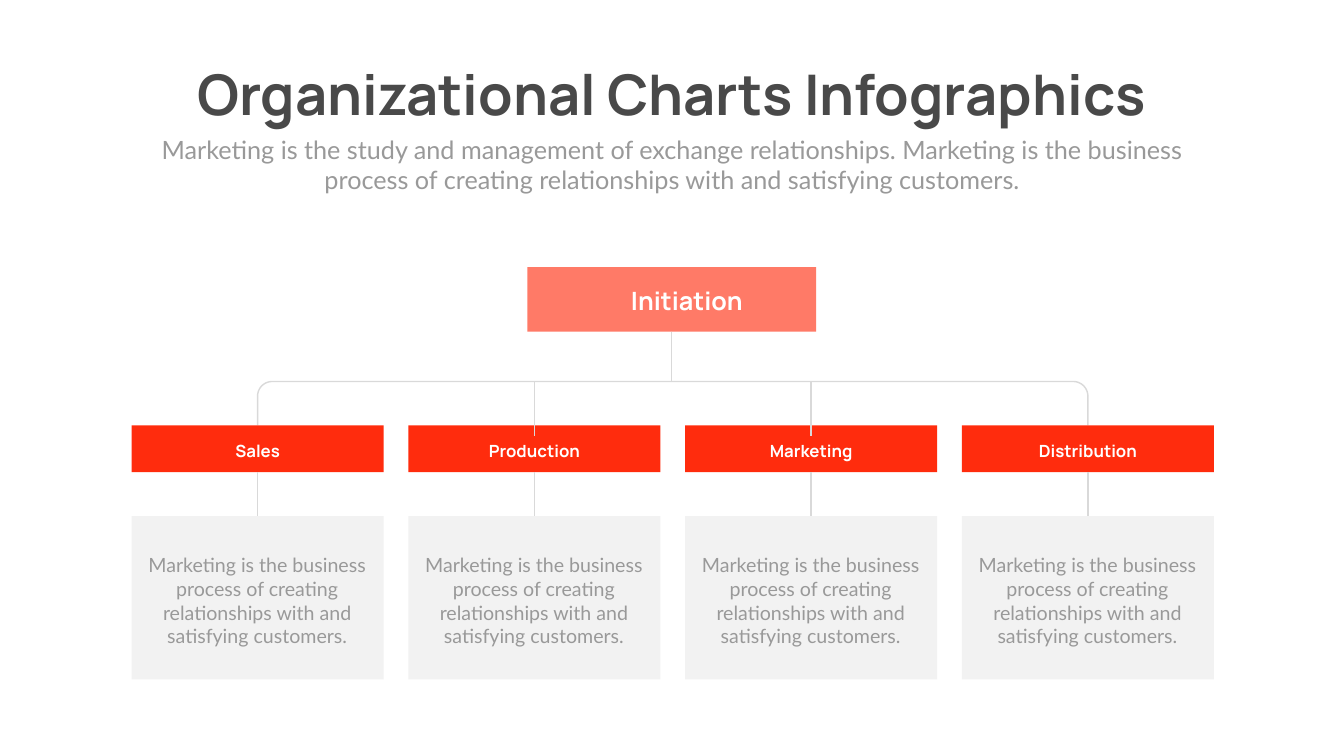
import math

import pptx
import pptx.dml.color
import pptx.enum.shapes
import pptx.enum.text
import pptx.oxml
import pptx.oxml.ns
import pptx.util

Inches = pptx.util.Inches

HEADING_FONT = "Manrope"
BODY_FONT = "Lato"
WHITE = "FFFFFF"
GRAY = "999999"
LINE_GRAY = "D9D9D9"
RED = "FF2C0D"
DESCRIPTION = (
    "Marketing is the business process of creating relationships "
    "with and satisfying customers."
)
SUBTITLE = (
    "Marketing is the study and management of exchange relationships. "
    "Marketing is the business process of creating relationships "
    "with and satisfying customers."
)
DEPARTMENTS = ["Sales", "Production", "Marketing", "Distribution"]
FIRST_LEFT = 2.61
COLUMN_PITCH = 5.49
BOX_WIDTH = 5
BRACKET_TOP = 7.57
DEPARTMENT_TOP = 8.44


def color(hex_string):
    return pptx.dml.color.RGBColor.from_string(hex_string)


def style_line(line):
    line.color.rgb = color(LINE_GRAY)
    line.width = pptx.util.Pt(2)


def add_box(slide, left, top, width, height, fill):
    shape = slide.shapes.add_shape(
        pptx.enum.shapes.MSO_SHAPE.RECTANGLE,
        Inches(left), Inches(top), Inches(width), Inches(height),
    )
    shape.shadow.inherit = False
    shape.fill.solid()
    shape.fill.fore_color.rgb = color(fill)
    shape.line.fill.background()
    return shape


def add_text(slide, text, left, top, width, height, size, font_name,
             font_color, bold=False, wrap=True, inset=None):
    shape = slide.shapes.add_textbox(
        Inches(left), Inches(top), Inches(width), Inches(height)
    )
    frame = shape.text_frame
    frame.word_wrap = wrap
    frame.auto_size = pptx.enum.text.MSO_AUTO_SIZE.SHAPE_TO_FIT_TEXT
    if inset is not None:
        frame.margin_left = frame.margin_right = Inches(inset)
        frame.margin_top = frame.margin_bottom = Inches(inset)
    frame.text = text
    paragraph = frame.paragraphs[0]
    paragraph.alignment = pptx.enum.text.PP_ALIGN.CENTER
    font = paragraph.runs[0].font
    font.size = pptx.util.Pt(size)
    font.name = font_name
    font.bold = bold
    font.color.rgb = color(font_color)


def add_label(slide, text, left, top, width, height, size):
    add_text(slide, text, left, top, width, height, size, HEADING_FONT,
             WHITE, bold=True, inset=0.06)


def add_vertical_line(slide, x, top, bottom):
    connector = slide.shapes.add_connector(
        pptx.enum.shapes.MSO_CONNECTOR.STRAIGHT,
        Inches(x), Inches(top), Inches(x), Inches(bottom),
    )
    style_line(connector.line)
    properties = connector._element.spPr
    properties.append(pptx.oxml.parse_xml(
        f'<a:effectLst {pptx.oxml.ns.nsdecls("a")}/>'
    ))
    return connector


def add_bracket(slide, left, right, top, bottom, radius):
    angles = [math.radians(degree) for degree in range(0, 91, 5)]
    left_arc = [
        (left + radius * (1 - math.cos(angle)),
         top + radius * (1 - math.sin(angle)))
        for angle in angles
    ]
    right_arc = [(left + right - x, y) for x, y in reversed(left_arc)]
    points = [(Inches(x), Inches(y))
              for x, y in left_arc + right_arc + [(right, bottom)]]
    builder = slide.shapes.build_freeform(Inches(left), Inches(bottom))
    builder.add_line_segments(points, close=False)
    bracket = builder.convert_to_shape()
    bracket.shadow.inherit = False
    bracket.fill.background()
    style_line(bracket.line)


def add_department(slide, name, left):
    center = left + BOX_WIDTH / 2
    department = add_box(slide, left, DEPARTMENT_TOP, BOX_WIDTH, 0.93, RED)
    description = add_box(slide, left, 10.24, BOX_WIDTH, 3.24, "F2F2F2")
    connector = add_vertical_line(slide, center, 9.37, 10.24)
    connector.begin_connect(department, 2)
    connector.end_connect(description, 0)
    add_label(slide, name, left + 0.89, 8.68, 3.22, 0.52, 24)
    add_text(slide, DESCRIPTION, left + 0.01, 10.93, 4.96, 1.99, 28,
             BODY_FONT, GRAY)


def main():
    presentation = pptx.Presentation()
    presentation.slide_width = Inches(26.66)
    presentation.slide_height = Inches(15)
    slide = presentation.slides.add_slide(presentation.slide_layouts[6])

    add_text(slide, "Organizational Charts Infographics", 3.02, 1.14, 20.62,
             1.45, 80, HEADING_FONT, "494949", bold=True, wrap=False)
    add_text(slide, SUBTITLE, 2.92, 2.61, 20.82, 1.31, 36, BODY_FONT, GRAY)

    lefts = [FIRST_LEFT + COLUMN_PITCH * index
             for index in range(len(DEPARTMENTS))]
    centers = [left + BOX_WIDTH / 2 for left in lefts]
    add_bracket(slide, centers[0], centers[-1], BRACKET_TOP,
                DEPARTMENT_TOP, 0.29)

    root = add_box(slide, 10.46, 5.3, 5.73, 1.28, "FF7A67")
    trunk = add_vertical_line(slide, 13.325, 6.58, BRACKET_TOP)
    trunk.begin_connect(root, 2)
    add_label(slide, "Initiation", 11.46, 5.6, 4.33, 0.72, 36)

    for name, left in zip(DEPARTMENTS, lefts):
        add_department(slide, name, left)
    for center in centers[1:-1]:
        add_vertical_line(slide, center, BRACKET_TOP, 8.65)

    presentation.save("out.pptx")


if __name__ == "__main__":
    main()
